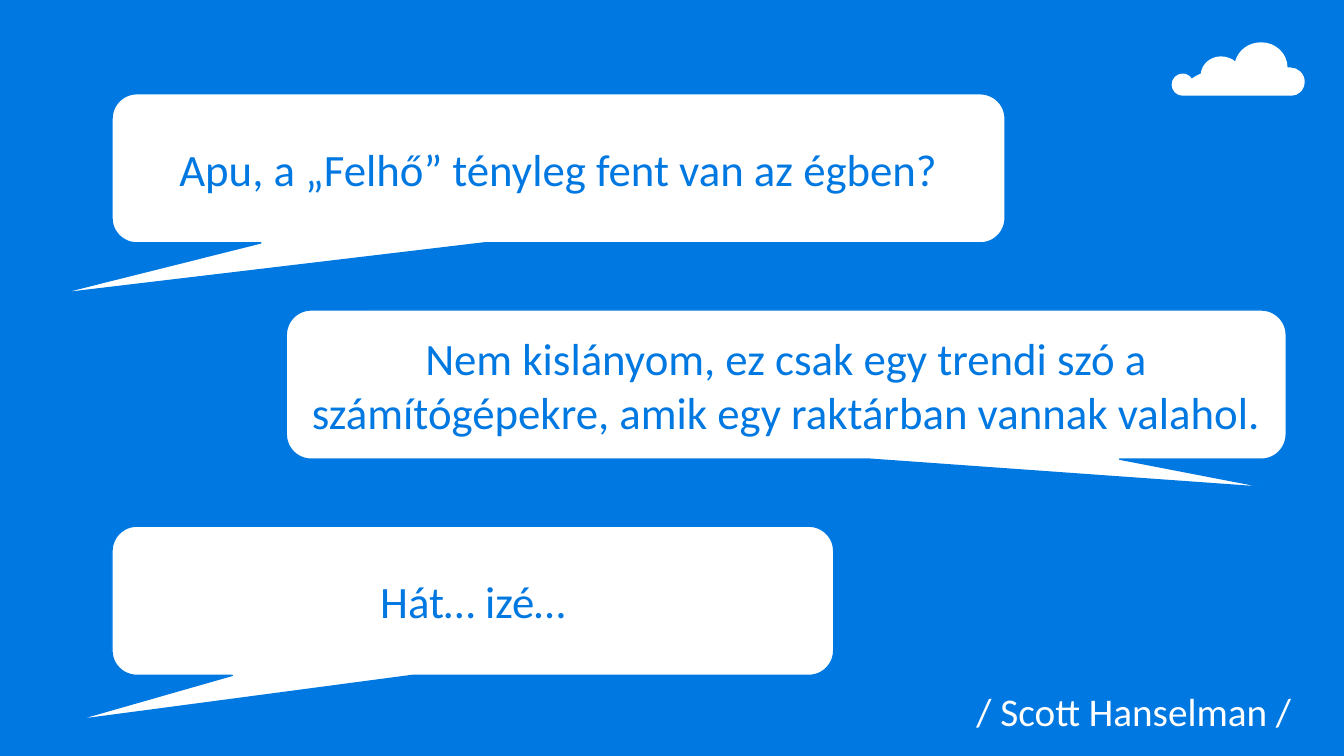
from dataclasses import dataclass

from lxml import etree
from pptx import Presentation
from pptx import util as u
from pptx.dml.color import RGBColor
from pptx.enum import shapes, text
from pptx.oxml.ns import qn


@dataclass(frozen=True)
class Theme:
    blue: RGBColor = RGBColor.from_string("0078E1")
    white: RGBColor = RGBColor.from_string("FFFFFF")
    font: str = "Calibri"
    speech_size: int = 32
    credit_size: int = 28


THEME = Theme()
COLUMNS, ROWS = 120, 100
FIRST_ROW, ROW_STEP, BUBBLE_ROWS = 12.4, 28.6, 19.73

SPEECHES = [
    ("Apu, a „Felhő” tényleg fent van az égben?", 10, 79.74, (-0.56, 0.84)),
    ("Nem kislányom, ez csak egy trendi szó a "
     "számítógépekre, amik egy raktárban vannak valahol.", 25.56, 89.28, (0.48, 0.69)),
    ("Hát… izé…", 10, 64.44, (-0.55, 0.8)),
]
CREDIT = "/ Scott Hanselman /"
CREDIT_AREA = (86.3, 90.93, 31.77, 9.07)

CLOUD_START = (12.8, 0.67)
CLOUD_CURVES = [
    ((12.79, 0.67), (12.78, 0.67), (12.77, 0.67)),
    ((12.77, 0.53), (12.65, 0.42), (12.51, 0.42)),
    ((12.38, 0.42), (12.28, 0.5), (12.25, 0.61)),
    ((12.22, 0.58), (12.16, 0.56), (12.11, 0.56)),
    ((12.01, 0.56), (11.92, 0.63), (11.91, 0.73)),
    ((11.88, 0.74), (11.85, 0.76), (11.82, 0.78)),
    ((11.8, 0.75), (11.77, 0.73), (11.73, 0.73)),
    ((11.67, 0.73), (11.62, 0.78), (11.62, 0.84)),
    ((11.62, 0.9), (11.67, 0.95), (11.73, 0.95)),
    ((12.09, 0.95), (12.45, 0.95), (12.81, 0.95)),
    ((12.88, 0.95), (12.94, 0.89), (12.94, 0.81)),
    ((12.94, 0.73), (12.87, 0.67), (12.8, 0.67)),
]

presentation = Presentation()
presentation.slide_width = u.Inches(13.33)
presentation.slide_height = u.Inches(7.5)


def place(left, top, width, height):
    column = presentation.slide_width / COLUMNS
    row = presentation.slide_height / ROWS
    return [u.Emu(round(length)) for length in
            (left * column, top * row, width * column, height * row)]


def write(shape, words, size, color, alignment):
    shape.text_frame.word_wrap = True
    paragraph = shape.text_frame.paragraphs[0]
    paragraph.alignment = alignment
    run = paragraph.add_run()
    run.text = words
    run.font.name = THEME.font
    run.font.size = u.Pt(size)
    run.font.color.rgb = color
    return paragraph


def fill_white(shape):
    shape.shadow.inherit = False
    shape.fill.solid()
    shape.fill.fore_color.rgb = THEME.white


def add_bubble(slide, index, words, left, width, tail):
    area = place(left, FIRST_ROW + index * ROW_STEP, width, BUBBLE_ROWS)
    bubble = slide.shapes.add_shape(
        shapes.MSO_SHAPE.ROUNDED_RECTANGULAR_CALLOUT, *area)
    bubble.adjustments[0], bubble.adjustments[1] = tail
    fill_white(bubble)
    bubble.line.color.rgb = THEME.blue
    bubble.line.width = u.Pt(1)
    bubble.text_frame.vertical_anchor = text.MSO_ANCHOR.MIDDLE
    write(bubble, words, THEME.speech_size, THEME.blue, text.PP_ALIGN.CENTER)


def add_credit(slide):
    credit = slide.shapes.add_textbox(*place(*CREDIT_AREA))
    paragraph = write(credit, CREDIT, THEME.credit_size, THEME.white,
                      text.PP_ALIGN.LEFT)
    paragraph.line_spacing = 0.9


def add_cloud(slide):
    anchors = [(u.Inches(x), u.Inches(y)) for *_, (x, y) in CLOUD_CURVES]
    builder = slide.shapes.build_freeform(*map(u.Inches, CLOUD_START))
    builder.add_line_segments(anchors, close=True)
    cloud = builder.convert_to_shape()
    segments = list(cloud.element.iter(qn("a:lnTo")))
    for segment, curve in zip(segments, CLOUD_CURVES):
        bend = etree.Element(qn("a:cubicBezTo"))
        for x, y in curve:
            etree.SubElement(bend, qn("a:pt"), x=str(u.Inches(x) - cloud.left),
                             y=str(u.Inches(y) - cloud.top))
        segment.getparent().replace(segment, bend)
    fill_white(cloud)
    cloud.line.fill.background()


def main():
    slide = presentation.slides.add_slide(presentation.slide_layouts[6])
    slide.background.fill.solid()
    slide.background.fill.fore_color.rgb = THEME.blue
    for index, speech in enumerate(SPEECHES):
        add_bubble(slide, index, *speech)
    add_credit(slide)
    add_cloud(slide)
    presentation.save("out.pptx")


if __name__ == "__main__":
    main()
